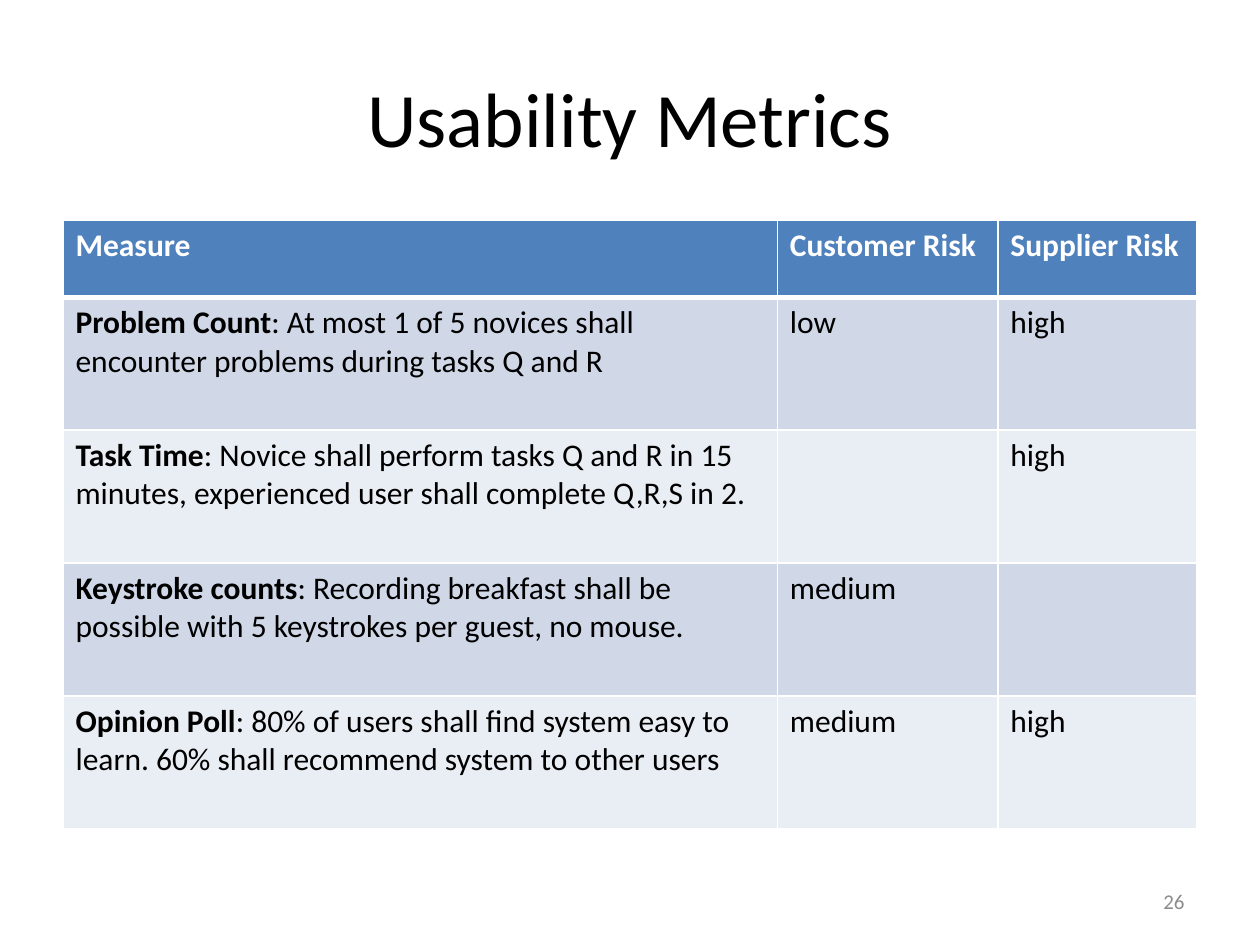
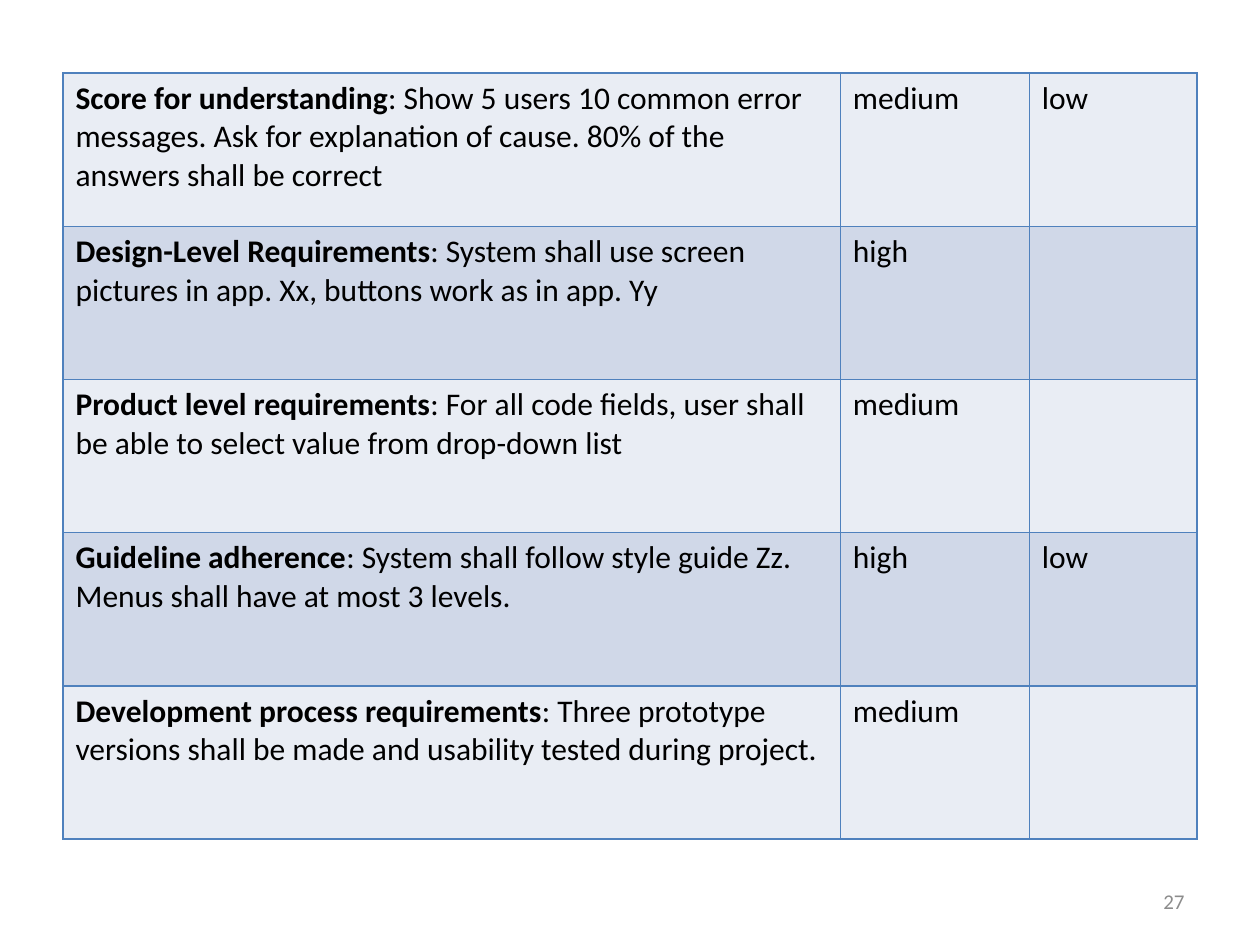
from dataclasses import dataclass

from lxml.etree import SubElement
from pptx import Presentation
from pptx.dml.color import RGBColor
from pptx.enum.text import MSO_ANCHOR, PP_ALIGN
from pptx.oxml.ns import qn
from pptx.util import Inches, Pt


@dataclass(frozen=True)
class Theme:
    """Colours, font and type sizes shared by the slides."""
    font: str = "Calibri"
    ink: str = "000000"
    paper: str = "FFFFFF"
    accent: str = "4F81BD"
    dark_band: str = "D0D8E8"
    light_band: str = "E9EDF4"
    muted: str = "8C8C8C"
    title_size: int = 44
    body_size: int = 18
    number_size: int = 12
    rule: int = 1
    header_rule: int = 3


@dataclass(frozen=True)
class Box:
    """A region of the slide, in inches."""
    left: float
    top: float
    width: float
    height: float

    def lengths(self):
        """Return the region as lengths for python-pptx."""
        return [Inches(side) for side in (self.left, self.top, self.width, self.height)]


THEME = Theme()
TITLE_BOX = Box(0.5, 0.3, 9, 1.25)
NUMBER_BOX = Box(7.17, 6.95, 2.33, 0.4)

HEADER = ("Measure", "Customer Risk", "Supplier Risk")
# Each measure: name, requirement, customer risk, supplier risk.
USER_MEASURES = [
    ("Problem Count", "At most 1 of 5 novices shall encounter problems during tasks Q and R",
     "low", "high"),
    ("Task Time", "Novice shall perform tasks Q and R in 15 minutes, "
     "experienced user shall complete Q,R,S in 2.", "", "high"),
    ("Keystroke counts", "Recording breakfast shall be possible with 5 keystrokes "
     "per guest, no mouse.", "medium", ""),
    ("Opinion Poll", "80% of users shall find system easy to learn. "
     "60% shall recommend system to other users", "medium", "high"),
]
DESIGN_MEASURES = [
    ("Score for understanding", "Show 5 users 10 common error messages. "
     "Ask for explanation of cause. 80% of the answers shall be correct", "medium", "low"),
    ("Design-Level Requirements", "System shall use screen pictures in app. Xx, "
     "buttons work as in app. Yy", "high", ""),
    ("Product level requirements", "For all code fields, user shall be able to select "
     "value from drop-down list", "medium", ""),
    ("Guideline adherence", "System shall follow style guide Zz. "
     "Menus shall have at most 3 levels.", "high", "low"),
    ("Development process requirements", "Three prototype versions shall be made and "
     "usability tested during project.", "medium", ""),
]


def add_text(paragraph, text, size=THEME.body_size, color=THEME.ink, bold=False):
    """Append one formatted run to a paragraph."""
    run = paragraph.add_run()
    run.text = text
    run.font.name = THEME.font
    run.font.size = Pt(size)
    run.font.bold = bold
    run.font.color.rgb = RGBColor.from_string(color)


def add_line_of_text(slide, box, text, align, **text_format):
    """Place a vertically centred line of text in the box."""
    frame = slide.shapes.add_textbox(*box.lengths()).text_frame
    frame.word_wrap = True
    frame.vertical_anchor = MSO_ANCHOR.MIDDLE
    frame.paragraphs[0].alignment = align
    add_text(frame.paragraphs[0], text, **text_format)


def style_cell(cell, fill, border, bottom=THEME.rule, top=THEME.rule):
    """Fill a cell and rule its four sides."""
    properties = cell._tc.get_or_add_tcPr()
    for side, width in (("L", THEME.rule), ("R", THEME.rule), ("T", top), ("B", bottom)):
        line = SubElement(properties, qn(f"a:ln{side}"), w=str(Pt(width)))
        SubElement(SubElement(line, qn("a:solidFill")), qn("a:srgbClr"), val=border)
    cell.fill.solid()
    cell.fill.fore_color.rgb = RGBColor.from_string(fill)


def add_header(table):
    """Fill the first table row with the column headings."""
    for cell, heading in zip(table.rows[0].cells, HEADER):
        style_cell(cell, THEME.accent, THEME.paper, bottom=THEME.header_rule)
        add_text(cell.text_frame.paragraphs[0], heading, color=THEME.paper, bold=True)


def add_measures(slide, box, measures, columns, bands, border, header_height=0):
    """Place a banded table of measures in the box, with a header if it has a height."""
    first = 1 if header_height else 0
    table = slide.shapes.add_table(
        len(measures) + first, len(columns), *box.lengths()).table
    table.first_row = bool(first)
    table.horz_banding = False
    for column, width in zip(table.columns, columns):
        column.width = Inches(width)
    for row in table.rows:
        row.height = Inches((box.height - header_height) / len(measures))
    if first:
        table.rows[0].height = Inches(header_height)
        add_header(table)

    for index, (name, requirement, *risks) in enumerate(measures):
        cells = list(table.rows[index + first].cells)
        top = THEME.header_rule if first and index == 0 else THEME.rule
        for cell in cells:
            style_cell(cell, bands[index % 2], border, top=top)
        measure = cells[0].text_frame.paragraphs[0]
        add_text(measure, name, bold=True)
        add_text(measure, f": {requirement}")
        for cell, risk in zip(cells[1:], risks):
            if risk:
                add_text(cell.text_frame.paragraphs[0], risk)


def add_slide(deck, number, title=None):
    """Add a blank slide with its number and, if given, its title."""
    slide = deck.slides.add_slide(deck.slide_layouts[6])
    if title:
        add_line_of_text(slide, TITLE_BOX, title, PP_ALIGN.CENTER, size=THEME.title_size)
    add_line_of_text(slide, NUMBER_BOX, str(number), PP_ALIGN.RIGHT,
                     size=THEME.number_size, color=THEME.muted)
    return slide


def main():
    """Build and save the two slides."""
    deck = Presentation()
    deck.slide_width, deck.slide_height = Inches(10), Inches(7.5)

    add_measures(add_slide(deck, 26, "Usability Metrics"), Box(0.5, 1.75, 9, 4.83),
                 USER_MEASURES, columns=(5.67, 1.75, 1.58),
                 bands=(THEME.dark_band, THEME.light_band),
                 border=THEME.paper, header_height=0.61)
    add_measures(add_slide(deck, 27), Box(0.5, 0.58, 9, 6.08),
                 DESIGN_MEASURES, columns=(6.17, 1.5, 1.33),
                 bands=(THEME.light_band, THEME.dark_band), border=THEME.accent)

    deck.save("out.pptx")


main()
